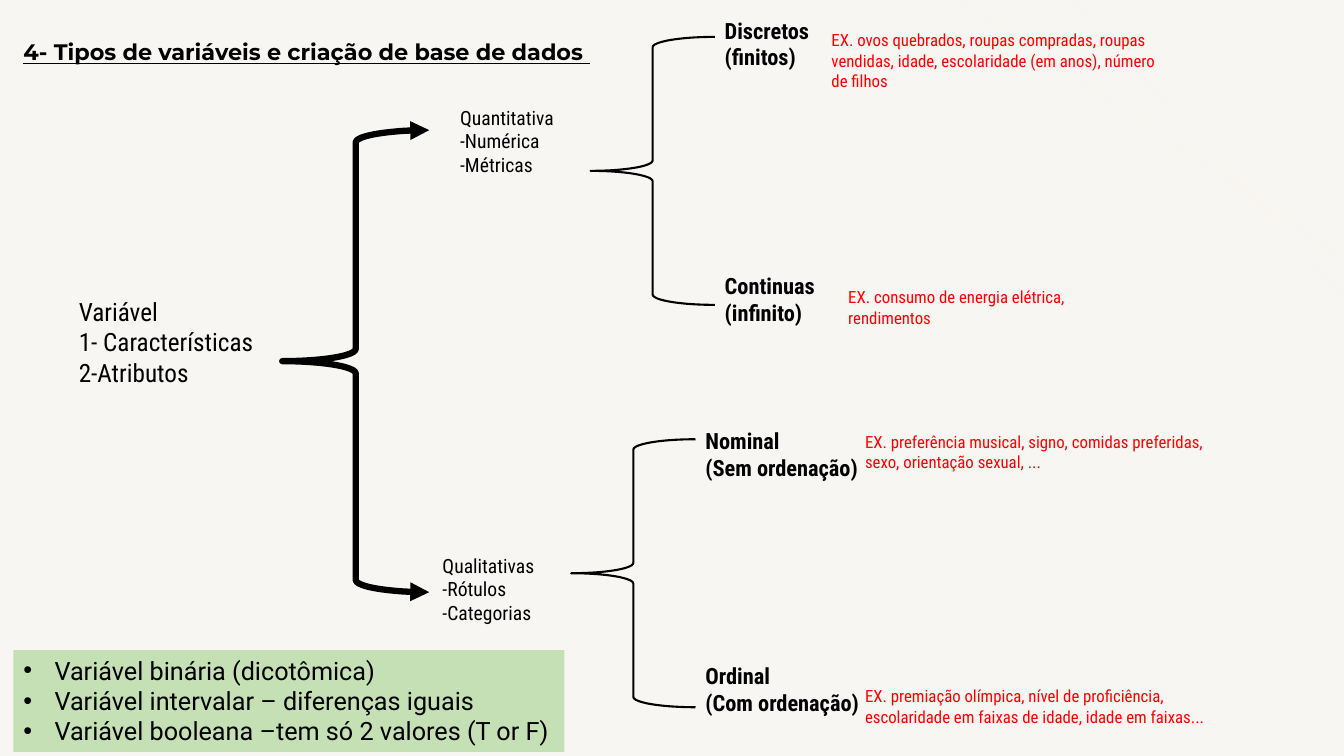
from dataclasses import dataclass

import pptx
import pptx.dml.color
import pptx.enum.shapes
import pptx.oxml
import pptx.oxml.ns
import pptx.util


@dataclass(frozen=True)
class Theme:
    paper: str = "F7F6F3"
    faint: str = "FBF4EF"
    ink: str = "000000"
    example: str = "FF0000"
    note: str = "C5E0B4"
    heading_font: str = "Montserrat"
    diagram_font: str = "Roboto Condensed"
    note_font: str = "Roboto"
    large: int = 18
    strong: int = 16
    medium: int = 14
    small: int = 12


THEME = Theme()
COLUMNS, ROWS = 16, 9
WIDTH, HEIGHT = pptx.util.Inches(13.33), pptx.util.Inches(7.5)


def grid(left, top, *size):
    """Turn columns and rows into slide lengths."""
    cells = (WIDTH / COLUMNS, HEIGHT / ROWS) * 2
    return [round(n * cell) for n, cell in zip((left, top, *size), cells)]


def color(value):
    return pptx.dml.color.RGBColor.from_string(value)


def add_xml(parent, tag, **attributes):
    element = pptx.oxml.parse_xml(f"<a:{tag} {pptx.oxml.ns.nsdecls('a')}/>")
    for key, value in attributes.items():
        element.set(key, value)
    parent.append(element)


def write(slide, box, text, size=THEME.medium, font=THEME.diagram_font,
          ink=THEME.ink, bold=False, underline=False, fill=None, bullet=None):
    holder = slide.shapes.add_textbox(*grid(*box))
    if fill:
        holder.fill.solid()
        holder.fill.fore_color.rgb = color(fill)
    frame = holder.text_frame
    frame.word_wrap = True
    frame.text = text
    for paragraph in frame.paragraphs:
        style = paragraph.runs[0].font
        style.size, style.name = pptx.util.Pt(size), font
        style.bold, style.underline = bold, underline
        style.color.rgb = color(ink)
        if bullet:
            indent = pptx.util.Inches(0.31)
            properties = paragraph._p.get_or_add_pPr()
            properties.set("marL", str(indent))
            properties.set("indent", str(-indent))
            add_xml(properties, "buFont", typeface="Arial")
            add_xml(properties, "buChar", char=bullet)


def draw_brace(slide, box, weight, arrows=False):
    brace = slide.shapes.add_shape(
        pptx.enum.shapes.MSO_SHAPE.LEFT_BRACE, *grid(*box))
    brace.shadow.inherit = False
    brace.fill.background()
    brace.line.color.rgb = color(THEME.ink)
    brace.line.width = pptx.util.Pt(weight)
    if arrows:
        for end in ("headEnd", "tailEnd"):
            add_xml(brace.line._get_or_add_ln(), end, type="triangle")


# Background with two faint diagonals in the upper right corner
def draw_backdrop(slide):
    slide.background.fill.solid()
    slide.background.fill.fore_color.rgb = color(THEME.paper)
    for start, drop in ((11.4, 3.08), (12.76, 3.54)):
        diagonal = slide.shapes.add_connector(
            pptx.enum.shapes.MSO_CONNECTOR.STRAIGHT,
            *grid(start, 0), *grid(COLUMNS, drop))
        diagonal.line.color.rgb = color(THEME.faint)
        diagonal.line.width = pptx.util.Pt(0.5)
        add_xml(diagonal._element.spPr, "effectLst")


# Slide heading
def draw_heading(slide, box):
    write(slide, box, "4- Tipos de variáveis e criação de base de dados ",
          size=THEME.strong, font=THEME.heading_font, bold=True, underline=True)


# Root of the tree and its arrowed brace
def draw_root(slide, box):
    left, top, width, height = box
    write(slide, (left, top + 1.92, 3.34, 1.21),
          "Variável\n1- Características\n2-Atributos", size=THEME.large)
    brace_left = 2.54
    draw_brace(slide, (left + brace_left, top, width - brace_left, height),
               4.5, arrows=True)


# One kind of variable: label, brace, and two leaves with examples
def draw_kind(slide, box, label, label_offset, leaves):
    left, top, width, height = box
    across, down = label_offset
    write(slide, (left + across, top + down, 2.5, 0.97), label)
    draw_brace(slide, box, 1.5)
    for leaf_down, leaf, (example_across, example_down), example in leaves:
        leaf_left, leaf_top = left + width, top + leaf_down
        write(slide, (leaf_left, leaf_top, 3.15, 0.77), leaf,
              size=THEME.strong, bold=True)
        write(slide,
              (leaf_left + example_across, leaf_top + example_down, 4.3, 0.6),
              example, size=THEME.small, ink=THEME.example)


# Green note with further types
def draw_note(slide, box):
    write(slide, box,
          "Variável binária (dicotômica)\n"
          "Variável intervalar – diferenças iguais\n"
          "Variável booleana –tem só 2 valores (T or F)",
          size=THEME.large, font=THEME.note_font, fill=THEME.note, bullet="•")


QUANTITATIVE = (
    (-0.3, "Discretos\n(finitos)", (1.27, 0.16),
     "EX. ovos quebrados, roupas compradas, roupas vendidas, idade, "
     "escolaridade (em anos), número de filhos"),
    (2.74, "Continuas\n(infinito)", (1.47, 0.18),
     "EX. consumo de energia elétrica,\nrendimentos"),
)
QUALITATIVE = (
    (-0.2, "Nominal\n(Sem ordenação)", (1.9, 0.05),
     "EX. preferência musical, signo, comidas preferidas, sexo, "
     "orientação sexual, ..."),
    (2.59, "Ordinal\n(Com ordenação)", (1.9, 0.29),
     "EX. premiação olímpica, nível de proficiência, escolaridade em "
     "faixas de idade, idade em faixas..."),
)


def main():
    deck = pptx.Presentation()
    deck.slide_width, deck.slide_height = WIDTH, HEIGHT
    slide = deck.slides.add_slide(deck.slide_layouts[6])
    draw_backdrop(slide)
    draw_heading(slide, (0.16, 0.4, 15.7, 1.09))
    draw_root(slide, (0.82, 1.55, 4.29, 5.5))
    draw_kind(slide, (7.03, 0.44, 1.48, 3.19),
              "Quantitativa\n-Numérica\n-Métricas", (-1.67, 0.76), QUANTITATIVE)
    draw_kind(slide, (6.8, 5.23, 1.48, 3.19),
              "Qualitativas\n-Rótulos\n-Categorias", (-1.65, 1.3), QUALITATIVE)
    draw_note(slide, (0.16, 7.74, 6.56, 1.21))
    deck.save("out.pptx")


if __name__ == "__main__":
    main()
